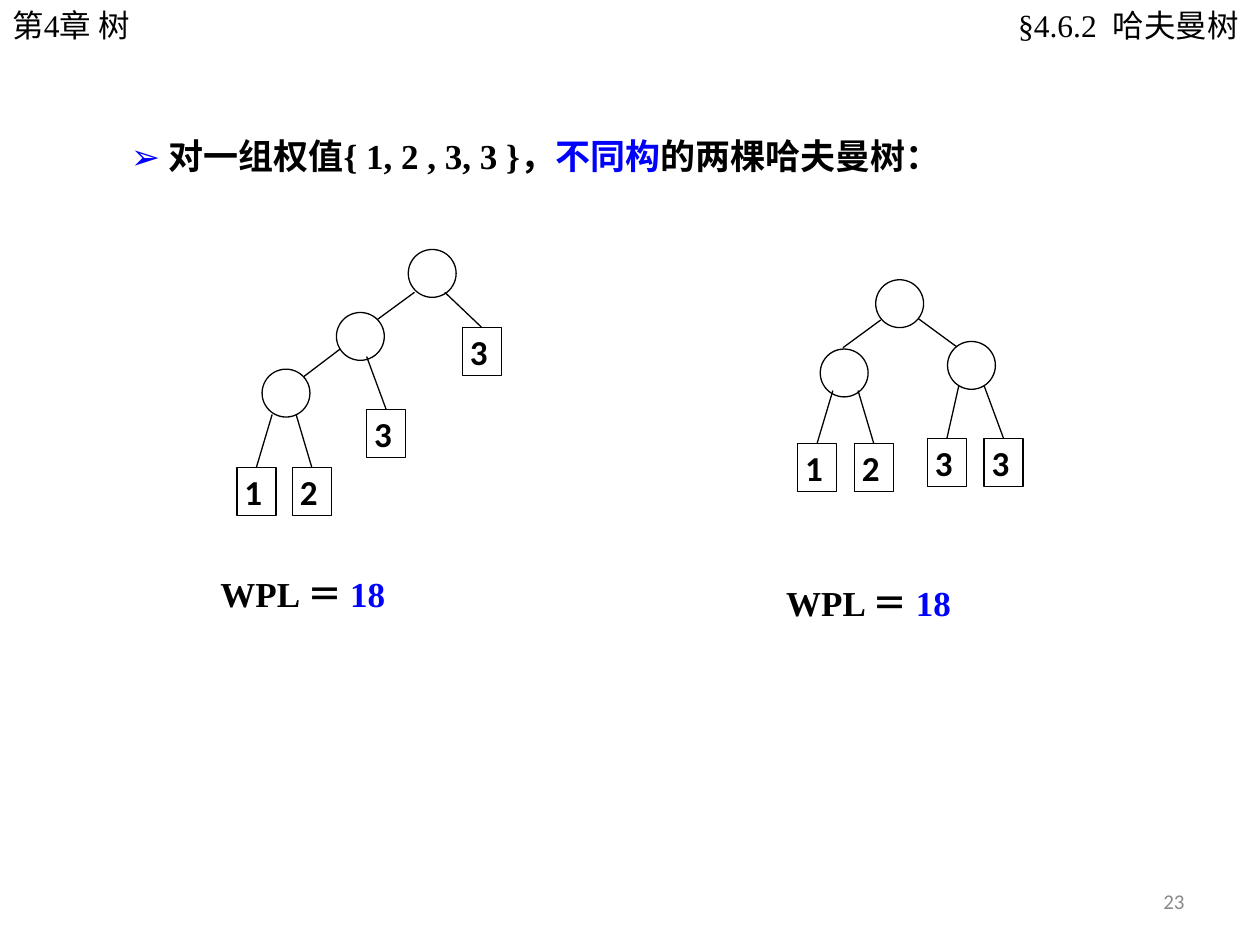
from lxml import etree
from pptx import Presentation
from pptx.dml.color import RGBColor
from pptx.enum import shapes, text
from pptx.oxml.ns import qn
from pptx.util import Inches, Pt

BLACK, BLUE, WHITE, GREY = "000000", "0000FF", "FFFFFF", "898989"
SERIF = "Times New Roman"
NODE_SIZE = 0.38
LEAF_WIDTH = 0.31

LEFT_TREE = {
    "nodes": [(3.24, 1.98), (2.67, 2.48), (2.08, 2.93)],
    "branches": [(3.29, 2.32, 2.99, 2.54), (2.7, 2.77, 2.41, 2.99)],
    "leaves": [("1", 1.88, 3.71, 2.16, 3.29), ("2", 2.32, 3.71, 2.35, 3.29),
               ("3", 2.91, 3.25, 2.91, 2.83), ("3", 3.67, 2.6, 3.53, 2.32)],
}
RIGHT_TREE = {
    "nodes": [(6.95, 2.22), (6.51, 2.77), (7.52, 2.71)],
    "branches": [(6.99, 2.54, 6.69, 2.76), (7.29, 2.53, 7.59, 2.75)],
    "leaves": [("1", 6.33, 3.52, 6.61, 3.1), ("2", 6.78, 3.52, 6.81, 3.1),
               ("3", 7.36, 3.48, 7.61, 3.06), ("3", 7.81, 3.48, 7.81, 3.06)],
}


def color(hex_value):
    return RGBColor.from_string(hex_value)


def apply_format(target, values):
    for name, value in values.items():
        setattr(target, name, value)


def add_run(paragraph, wording, size, font, hex_value, bold=False):
    run = paragraph.add_run()
    run.text = wording
    apply_format(run.font, {"size": Pt(size), "name": font, "bold": bold})
    run.font.color.rgb = color(hex_value)


def add_label(slide, bounds, runs, frame_format=None, paragraph_format=None):
    frame = slide.shapes.add_textbox(*map(Inches, bounds)).text_frame
    apply_format(frame, {"word_wrap": True, **(frame_format or {})})
    paragraph = frame.paragraphs[0]
    apply_format(paragraph, paragraph_format or {})
    for run in runs:
        add_run(paragraph, *run)


def add_outlined(group, preset, left, top, width):
    outlined = group.shapes.add_shape(
        preset, *map(Inches, (left, top, width, NODE_SIZE)))
    outlined.shadow.inherit = False
    outlined.fill.solid()
    outlined.fill.fore_color.rgb = color(WHITE)
    outlined.line.color.rgb = color(BLACK)
    outlined.line.width = Pt(0.75)
    return outlined


def add_edge(group, start_x, start_y, end_x, end_y):
    edge = group.shapes.add_connector(
        shapes.MSO_CONNECTOR.STRAIGHT,
        *map(Inches, (start_x, start_y, end_x, end_y)))
    edge.line.color.rgb = color(BLACK)
    edge.line.width = Pt(0.75)
    etree.SubElement(edge._element.spPr, qn("a:effectLst"))
    return edge


def add_leaf(group, weight, left, top, start_x, start_y):
    leaf = add_outlined(group, shapes.MSO_SHAPE.RECTANGLE, left, top, LEAF_WIDTH)
    frame = leaf.text_frame
    apply_format(frame, {
        "margin_left": Inches(0.06), "margin_right": 0, "margin_top": 0,
        "margin_bottom": 0, "vertical_anchor": text.MSO_ANCHOR.MIDDLE})
    paragraph = frame.paragraphs[0]
    paragraph.alignment = text.PP_ALIGN.LEFT
    add_run(paragraph, weight, 20, "Calibri", BLACK, True)
    edge = add_edge(group, start_x, start_y, left + LEAF_WIDTH / 2, top)
    edge.end_connect(leaf, 0)


def add_tree(slide, tree):
    group = slide.shapes.add_group_shape()
    for branch in tree["branches"]:
        add_edge(group, *branch)
    for left, top in tree["nodes"]:
        add_outlined(group, shapes.MSO_SHAPE.OVAL, left, top, NODE_SIZE)
    for leaf in tree["leaves"]:
        add_leaf(group, *leaf)


def add_path_length(slide, left, top):
    add_label(slide, (left, top, 2.2, 0.44),
              [("WPL ＝ ", 20, SERIF, BLACK, True), ("18", 20, SERIF, BLUE, True)],
              {"margin_left": Inches(0.37),
               "vertical_anchor": text.MSO_ANCHOR.MIDDLE})


def main():
    deck = Presentation()
    deck.slide_width, deck.slide_height = Inches(10), Inches(7.5)
    slide = deck.slides.add_slide(deck.slide_layouts[6])

    right = {"alignment": text.PP_ALIGN.RIGHT}
    add_label(slide, (0, 0, 2.09, 0.4), [("第4章 树", 18, SERIF, BLACK)])
    add_label(slide, (6.18, 0, 3.81, 0.4),
              [("§4.6.2  哈夫曼树", 18, SERIF, BLACK)],
              {"margin_right": Inches(0.16)}, right)
    add_label(slide, (0.94, 1.02, 6.95, 0.44), [
        ("➢ ", 20, "Arial", BLUE, True),
        ("对一组权值{ 1, 2 , 3, 3 }，", 20, SERIF, BLACK, True),
        ("不同构", 20, SERIF, BLUE, True),
        ("的两棵哈夫曼树：", 20, SERIF, BLACK, True)])

    add_tree(slide, LEFT_TREE)
    add_tree(slide, RIGHT_TREE)
    add_path_length(slide, 1.38, 4.49)
    add_path_length(slide, 5.87, 4.56)

    add_label(slide, (7.17, 6.95, 2.33, 0.4), [("23", 12, "Calibri", GREY)],
              {"vertical_anchor": text.MSO_ANCHOR.MIDDLE}, right)
    deck.save("out.pptx")


if __name__ == "__main__":
    main()
